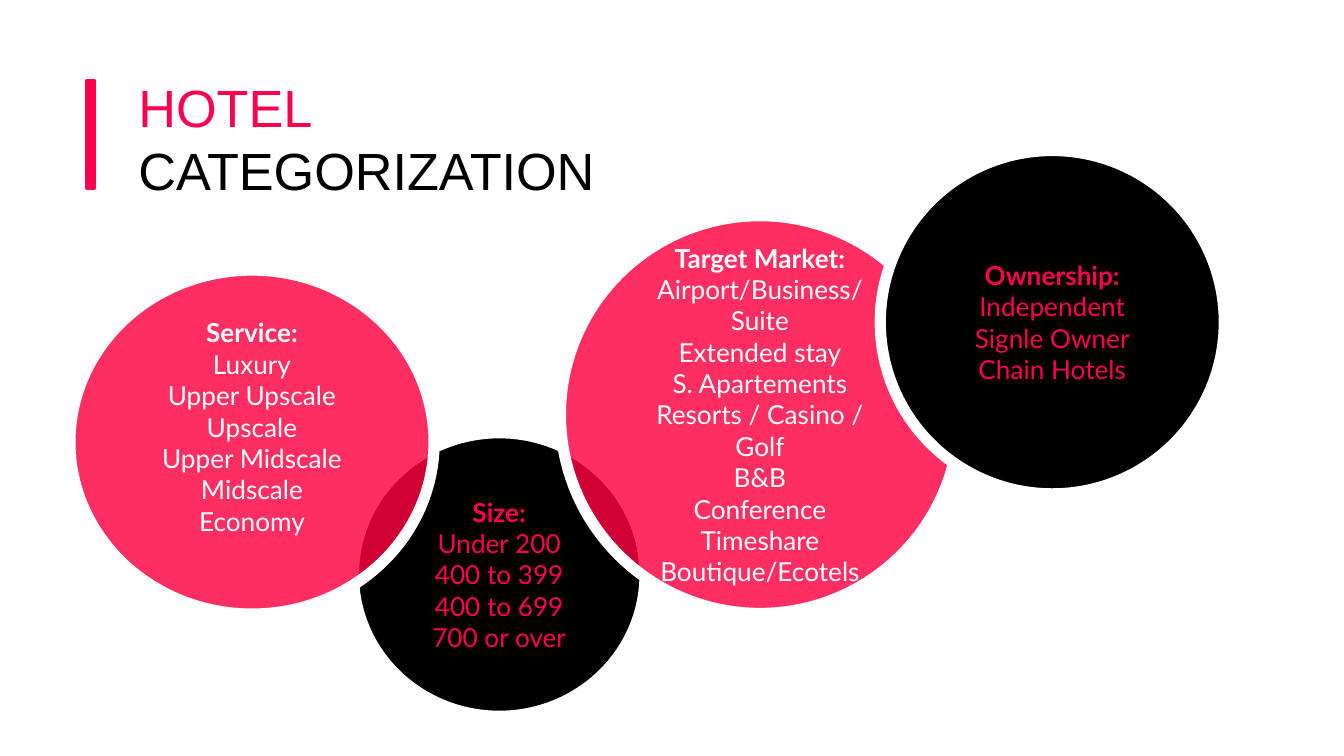
from lxml.etree import SubElement
from pptx import Presentation
from pptx.dml.color import RGBColor
from pptx.enum.shapes import MSO_SHAPE
from pptx.enum.text import MSO_ANCHOR, MSO_AUTO_SIZE, PP_ALIGN
from pptx.oxml.ns import qn
from pptx.util import Emu, Pt

COLORS = {"accent": "FF004E", "pink": "FF0040", "black": "000000", "white": "FFFFFF"}
PX = 4572
INSET = 20
LINE = 46

SERVICE = ["Service:", "Luxury", "Upper Upscale", "Upscale", "Upper Midscale",
           "Midscale", "Economy"]
SIZE = ["Size:", "Under 200", "400 to 399", "400 to 699", "700 or over"]
MARKET = ["Target Market:", "Airport/Business/ Suite", "Extended stay",
          "S. Apartements", "Resorts / Casino / Golf", "B&B", "Conference",
          "Timeshare", "Boutique/Ecotels"]
OWNERSHIP = ["Ownership:", "Independent", "Signle Owner", "Chain Hotels"]


def px(n):
    """Turn px into EMU."""
    return Emu(n * PX)


def rgb(name):
    """Look up a palette colour."""
    return RGBColor.from_string(COLORS[name])


def add_run(p, text, font, size, color, bold=False):
    """Add one formatted run to a paragraph."""
    r = p.add_run()
    r.text = text
    r.font.name = font
    r.font.size = Pt(size)
    r.font.bold = bold
    r.font.color.rgb = rgb(color)


def set_frame(tf, anchor, bottom=INSET):
    """Set wrapping, anchor and insets of a text frame."""
    tf.word_wrap = True
    tf.auto_size = MSO_AUTO_SIZE.NONE
    tf.vertical_anchor = anchor
    tf.margin_left = tf.margin_right = tf.margin_top = px(INSET)
    tf.margin_bottom = px(bottom)


def add_filled(slide, kind, box, fill, line, width):
    """Add a preset shape with solid fill and outline."""
    sp = slide.shapes.add_shape(kind, *map(px, box))
    sp.shadow.inherit = False
    sp.fill.solid()
    sp.fill.fore_color.rgb = rgb(fill)
    sp.line.color.rgb = rgb(line)
    sp.line.width = Pt(width)
    return sp


def add_title(slide, box):
    """Place the two-line title."""
    sp = slide.shapes.title
    sp.left, sp.top, sp.width, sp.height = map(px, box)
    set_frame(sp.text_frame, MSO_ANCHOR.TOP)
    p = sp.text_frame.paragraphs[0]
    p.alignment = PP_ALIGN.LEFT
    p.line_spacing = Pt(33.6)
    add_run(p, "HOTEL", "Arial", 28, "accent")
    p.add_line_break()
    add_run(p, "CATEGORIZATION", "Arial", 28, "black")


def add_circle(slide, box, lines, fill, color, alpha=100, raise_by=0):
    """Place one category circle with a bold heading and its items."""
    sp = add_filled(slide, MSO_SHAPE.OVAL, box, fill, "white", 6)
    if alpha < 100:
        clr = sp.fill._xPr.find(qn("a:solidFill"))[0]
        SubElement(clr, qn("a:alpha")).set("val", str(alpha * 1000))
    tf = sp.text_frame
    set_frame(tf, MSO_ANCHOR.MIDDLE, bottom=INSET + raise_by)
    for i, text in enumerate(lines):
        p = tf.add_paragraph() if i else tf.paragraphs[0]
        p.alignment = PP_ALIGN.CENTER
        add_run(p, text, "Lato", 14, color, bold=i == 0)


def main():
    """Build and save the slide."""
    prs = Presentation()
    prs.slide_width, prs.slide_height = px(2000), px(1125)
    slide = prs.slides.add_slide(prs.slide_layouts[5])
    add_title(slide, (186, 92, 758, 188))
    add_circle(slide, (526, 644, 434, 422), SIZE, "black", "accent")
    add_filled(slide, MSO_SHAPE.RECTANGLE, (130, 120, 10, 160), "accent", "accent", 2)
    add_circle(slide, (104, 402, 542, 512), SERVICE, "pink", "white", 82, LINE)
    add_circle(slide, (834, 321, 594, 592), MARKET, "pink", "white", 82)
    add_circle(slide, (1310, 224, 512, 511), OWNERSHIP, "black", "accent")
    prs.save("out.pptx")


if __name__ == "__main__":
    main()
